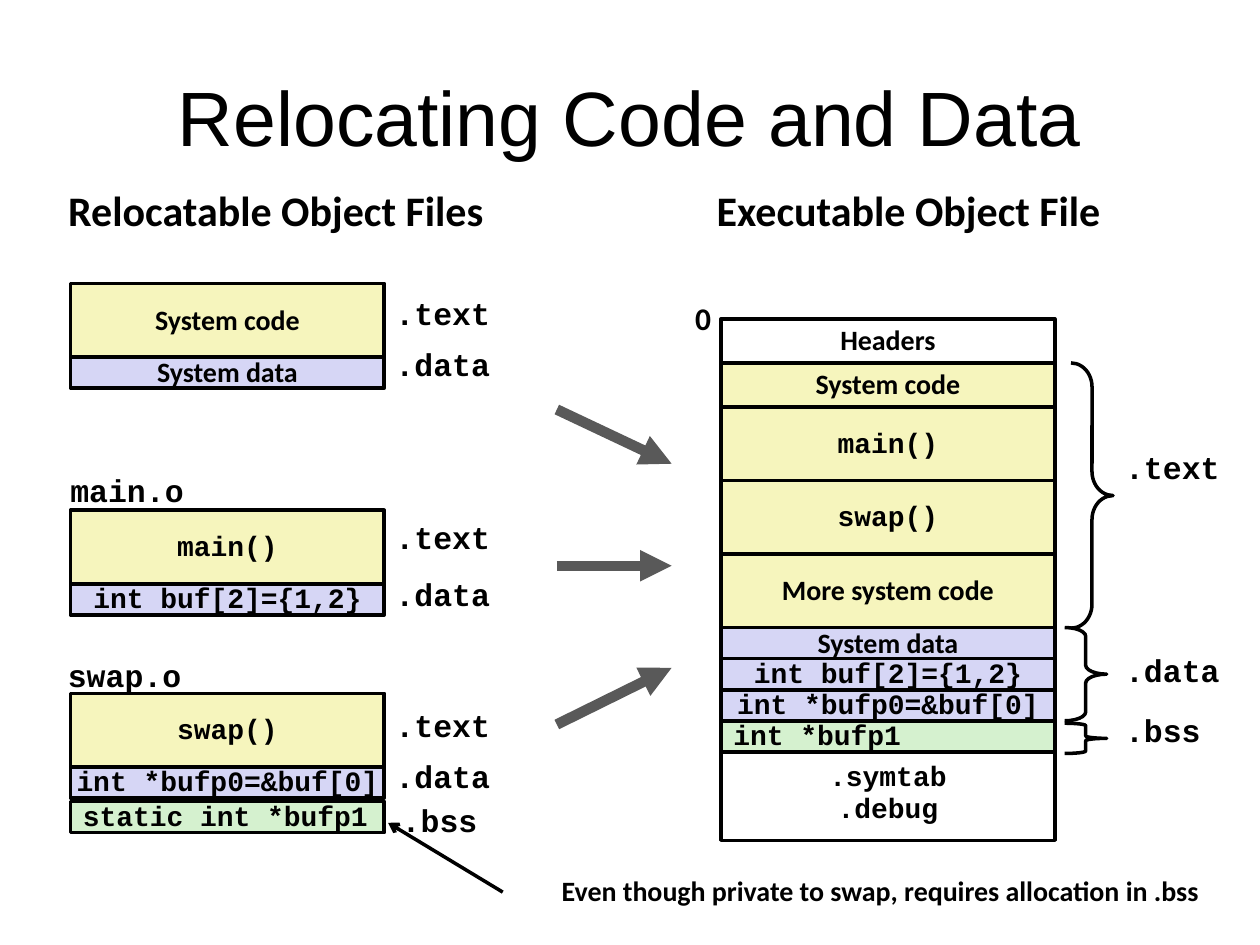
import pptx
import pptx.util
import pptx.dml.color
import pptx.enum.shapes
import pptx.enum.text
import pptx.oxml.ns
from lxml import etree

Pt = pptx.util.Pt
ALIGN = pptx.enum.text.PP_ALIGN
ANCHOR = pptx.enum.text.MSO_ANCHOR
SHAPE = pptx.enum.shapes.MSO_SHAPE

COLORS = {"ink": "000000", "arrow": "595959", "plain": "FFFFFF",
          "text": "F6F5BD", "data": "D6D6F5", "bss": "D5F1CF"}
SANS, MONO, TITLE_FONT = "Calibri", "Courier New", "Arial"
SPACING = {SANS: 0.98, MONO: 0.94}

TITLE = "Relocating Code and Data"
NOTE = "Even though private to swap, requires allocation in .bss"
# text, left, top, width, height, size
SANS_LABELS = [
    ("Relocatable Object Files", 31.9, 103, 252.7, 35.3, 24),
    ("Executable Object File", 402.5, 103, 234.7, 35.3, 24),
    ("0", 390.2, 168.5, 23, 28.8, 18),
    (NOTE, 313.9, 495.4, 380.9, 26.6, 16),
]

# Stacks of memory sections: left, top, width, rows
# Row: text, section, height, font, alignment, shift from the stacked position
CENTER, LEFT = ALIGN.CENTER, ALIGN.LEFT
STACKS = [
    (40.3, 162, 179.3, [
        ("System code", "text", 42, SANS, CENTER, 0),
        ("System data", "data", 17.8, SANS, CENTER, 0)]),
    (40.3, 291.6, 179.3, [
        ("main()", "text", 42, MONO, CENTER, 0),
        ("int buf[2]={1,2}", "data", 17.8, MONO, CENTER, 0)]),
    (40.3, 396.2, 179.3, [
        ("swap()", "text", 42, MONO, CENTER, 0),
        ("int *bufp0=&buf[0]", "data", 17.8, MONO, CENTER, 0),
        ("static int *bufp1", "bss", 17.8, MONO, LEFT, 2)]),
    (412, 182.2, 190.8, [
        ("Headers", "plain", 25.2, SANS, CENTER, 0),
        ("System code", "text", 25.2, SANS, CENTER, 0),
        ("main()", "text", 42, MONO, CENTER, 0),
        ("swap()", "text", 42, MONO, CENTER, 0),
        ("More system code", "text", 42, SANS, CENTER, 0),
        ("System data", "data", 17.8, SANS, CENTER, 0),
        ("int buf[2]={1,2}", "data", 17.8, MONO, CENTER, 0),
        ("int *bufp0=&buf[0]", "data", 17.8, MONO, CENTER, 0),
        ("int *bufp1", "bss", 17.8, MONO, LEFT, 0),
        (".symtab\n.debug", "plain", 54, MONO, CENTER, -3.6)]),
]

# Monospaced labels by column: left, [(text, top)]
MONO_LABELS = [
    (33.1, [("main.o", 267.1)]),
    (31.7, [("swap.o", 373)]),
    (218.9, [(".text", 166.3), (".data", 195.1), (".text", 294.5),
             (".data", 326.9), (".text", 401.8), (".data", 430.6)]),
    (222.5, [(".bss", 455.8)]),
    (635.8, [(".text", 254.2), (".data", 370.1), (".bss", 404.6)]),
]

# left, top, height, curl
BRACES = [(612, 207.4, 151.6, 0.57), (608.4, 358.6, 53.3, 0.21),
          (608.4, 413.3, 17.3, 0.08)]
BRACE_WIDTH = 24

# start x, start y, end x, end y, colour, width, head
ARROWS = [
    (318.2, 234, 383.8, 265, "arrow", 6, "triangle"),
    (318.2, 323.3, 383.8, 323.3, "arrow", 6, "triangle"),
    (318.2, 414, 383.8, 381.6, "arrow", 6, "triangle"),
    (287.3, 509.8, 221.8, 470.2, "ink", 2, "arrow"),
]


def rgb(name):
    return pptx.dml.color.RGBColor.from_string(COLORS[name])


def write(shape, text, font, size, alignment=LEFT, spacing=None, bold=True):
    text_frame = shape.text_frame
    text_frame.word_wrap = False
    text_frame.text = text
    for paragraph in text_frame.paragraphs:
        paragraph.alignment = alignment
        if spacing:
            paragraph.line_spacing = spacing
        for run in paragraph.runs:
            run.font.name = font
            run.font.size = Pt(size)
            run.font.bold = bold
            run.font.color.rgb = rgb("ink")
    return text_frame


def outline(shape, color="ink", width=2):
    shape.line.color.rgb = rgb(color)
    shape.line.width = Pt(width)


def add_label(slide, text, left, top, width, height, font, size, spacing):
    box = slide.shapes.add_textbox(Pt(left), Pt(top), Pt(width), Pt(height))
    text_frame = write(box, text, font, size, spacing=spacing)
    text_frame.auto_size = pptx.enum.text.MSO_AUTO_SIZE.SHAPE_TO_FIT_TEXT


def add_stack(slide, left, top, width, rows):
    placed = []
    for row in rows:
        placed.append((top, row))
        top += row[2]
    # Upper sections lie over lower ones
    for row_top, (text, section, height, font, alignment, shift) in reversed(placed):
        shape = slide.shapes.add_shape(SHAPE.RECTANGLE, Pt(left), Pt(row_top + shift),
                                       Pt(width), Pt(height))
        shape.shadow.inherit = False
        shape.fill.solid()
        shape.fill.fore_color.rgb = rgb(section)
        outline(shape)
        text_frame = write(shape, text, font, 16, alignment, SPACING[font])
        text_frame.vertical_anchor = ANCHOR.MIDDLE


def add_arrow(slide, start_x, start_y, end_x, end_y, color, width, head):
    connector = slide.shapes.add_connector(
        pptx.enum.shapes.MSO_CONNECTOR.STRAIGHT,
        Pt(start_x), Pt(start_y), Pt(end_x), Pt(end_y))
    outline(connector, color, width)
    qn = pptx.oxml.ns.qn
    line = connector.line._get_or_add_ln()
    etree.SubElement(line, qn("a:tailEnd"), type=head)
    etree.SubElement(connector._element.spPr, qn("a:effectLst"))


def main():
    presentation = pptx.Presentation()
    presentation.slide_width, presentation.slide_height = Pt(720), Pt(540)
    slide = presentation.slides.add_slide(presentation.slide_layouts[6])

    # Title and headings
    title = slide.shapes.add_textbox(Pt(36), Pt(32.4), Pt(648), Pt(67.7))
    text_frame = write(title, TITLE, TITLE_FONT, 44, CENTER, bold=False)
    text_frame.word_wrap = True
    text_frame.vertical_anchor = ANCHOR.MIDDLE
    for text, left, top, width, height, size in SANS_LABELS:
        spacing = None if text == NOTE else SPACING[SANS]
        add_label(slide, text, left, top, width, height, SANS, size, spacing)

    # Object files and executable
    for stack in STACKS:
        add_stack(slide, *stack)

    # File and section names: 10.8 per character plus the insets
    for left, labels in MONO_LABELS:
        for text, top in labels:
            add_label(slide, text, left, top, 10.8 * len(text) + 14.4, 27.4,
                      MONO, 18, SPACING[MONO])

    # Section braces
    for left, top, height, curl in BRACES:
        brace = slide.shapes.add_shape(SHAPE.RIGHT_BRACE, Pt(left), Pt(top),
                                       Pt(BRACE_WIDTH), Pt(height))
        brace.shadow.inherit = False
        brace.fill.background()
        brace.adjustments[0] = curl
        outline(brace)

    # Arrows
    for arrow in ARROWS:
        add_arrow(slide, *arrow)

    presentation.save("out.pptx")


if __name__ == "__main__":
    main()
